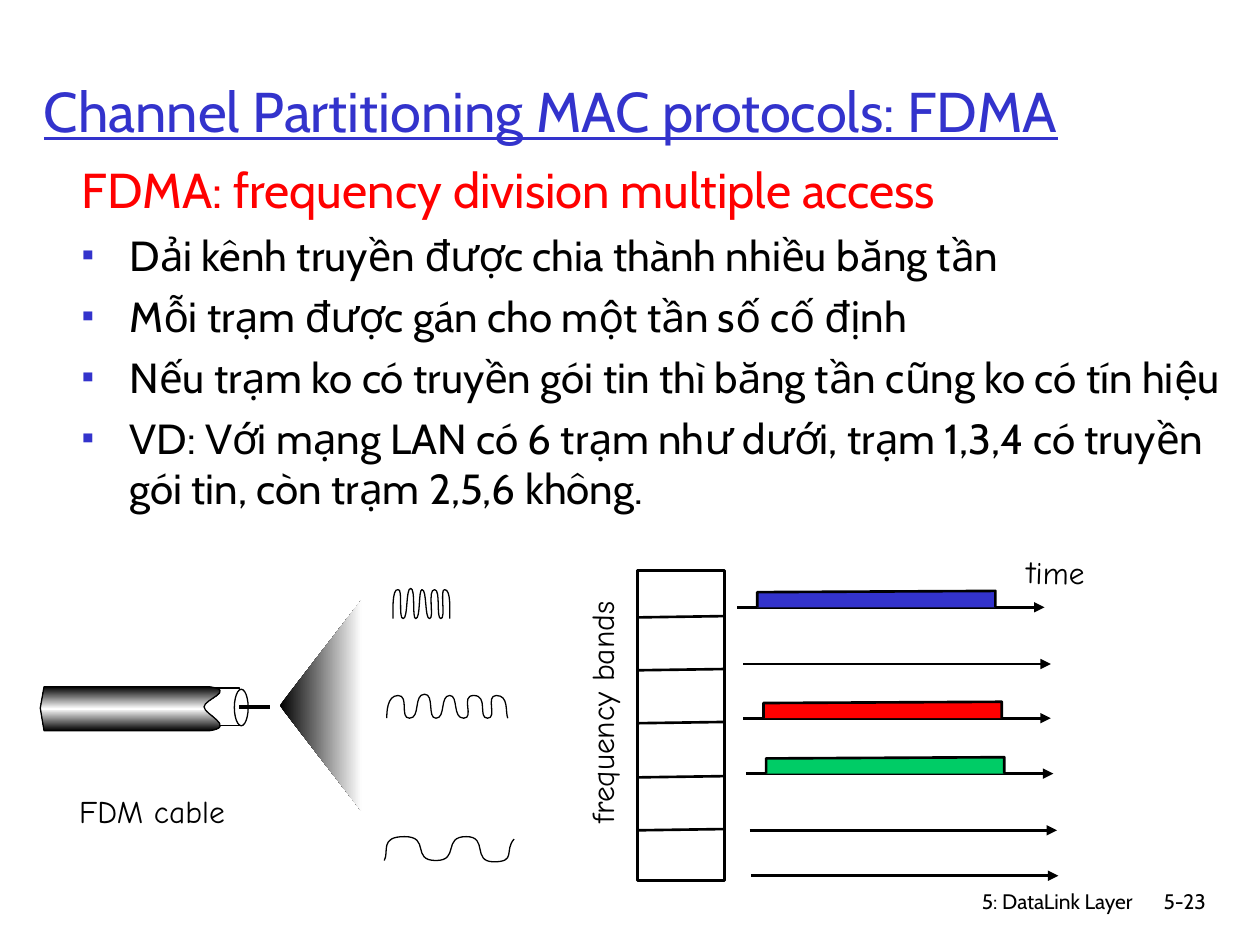
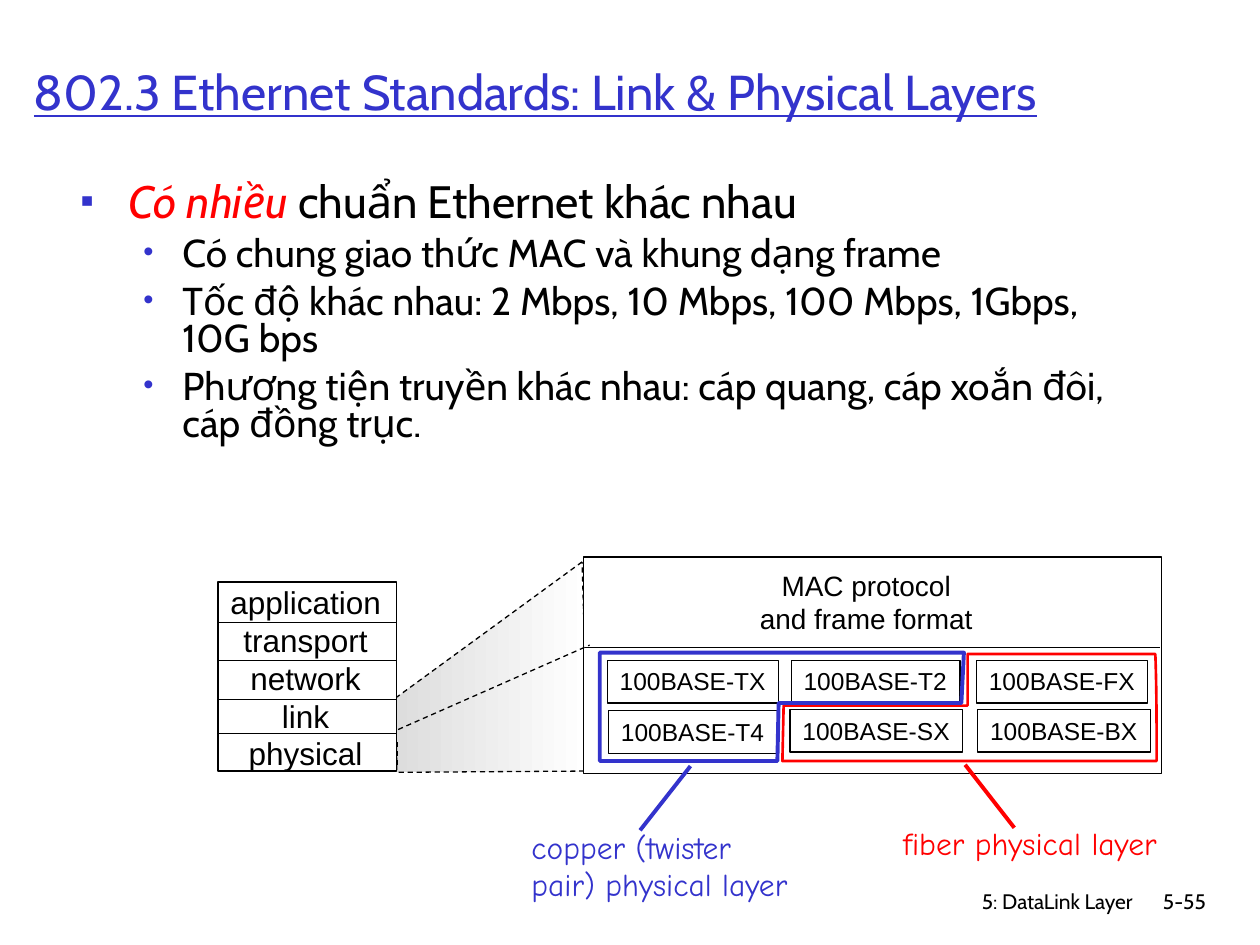
"""Build two link layer slides: FDMA and the Ethernet standards."""
from dataclasses import dataclass
from typing import Any

from lxml.etree import SubElement
from pptx import Presentation
from pptx.dml.color import RGBColor
from pptx.enum.dml import MSO_LINE
from pptx.enum.shapes import MSO_CONNECTOR, MSO_SHAPE
from pptx.enum.text import MSO_ANCHOR, MSO_AUTO_SIZE, PP_ALIGN
from pptx.oxml.ns import qn
from pptx.util import Emu, Pt

SCALE = 9144
BLACK, WHITE, BLUE, RED, GREEN = "000000", "FFFFFF", "3333CC", "FF0000", "00CC66"
MAIN, HAND, PLAIN = "Cabin", "Comic Neue", "Arial"
Box = tuple[int, int, int, int]


@dataclass
class Run:
    text: str
    size: float
    font: str = MAIN
    color: str = BLACK
    under: bool = False
    slant: bool = False


@dataclass
class Para:
    runs: list[Run]
    align: Any = PP_ALIGN.LEFT
    mark: str = ""
    ratio: int = 85
    left: int = 0
    hang: int = 0
    level: int = 0
    before: float = 0
    lead: float = 1.0


@dataclass
class Note:
    box: Box
    paras: list[Para]
    wrap: bool = False
    turn: float = 0
    anchor: Any = MSO_ANCHOR.TOP


@dataclass
class Wire:
    x1: int
    y1: int
    x2: int
    y2: int
    color: str = BLACK
    weight: float = 0.75
    dash: bool = False
    arrow: bool = False


@dataclass
class Form:
    steps: list[tuple[int, ...]]
    fill: str | list[str] = ""
    line: str = BLACK
    weight: float = 0.75
    close: bool = False
    dash: bool = False
    angle: int = 0


def px(num: float) -> Emu:
    return Emu(round(num * SCALE))


def paint(code: str) -> RGBColor:
    return RGBColor.from_string(code)


def apply(item: Any, vals: dict[str, Any]) -> None:
    for name, val in vals.items():
        setattr(item, name, val)


def blend(shape: Any, codes: list[str], angle: int) -> None:
    shape.fill.gradient()
    shape.fill.gradient_angle = angle
    stops = next(shape._element.spPr.iter(qn("a:gsLst")))
    for old in list(stops):
        stops.remove(old)
    for num, code in enumerate(codes):
        stop = SubElement(stops, qn("a:gs"), pos=str(100000 * num // (len(codes) - 1)))
        SubElement(stop, qn("a:srgbClr"), val=code)


def trim(line: Any, color: str, weight: float, dash: bool = False) -> None:
    line.color.rgb = paint(color)
    line.width = Pt(weight)
    if dash:
        line.dash_style = MSO_LINE.DASH


def style(shape: Any, form: Form) -> None:
    shape.shadow.inherit = False
    if isinstance(form.fill, list):
        blend(shape, form.fill, form.angle)
    elif form.fill:
        shape.fill.solid()
        shape.fill.fore_color.rgb = paint(form.fill)
    else:
        shape.fill.background()
    if form.line:
        trim(shape.line, form.line, form.weight, form.dash)
    else:
        shape.line.fill.background()


def bend(shape: Any, steps: list[tuple[int, ...]]) -> None:
    """Fold the three segments of each six-number step into one curve."""
    trail = next(shape._element.spPr.iter(qn("a:path")))
    parts = iter(trail.findall(qn("a:lnTo")))
    for step in steps[1:]:
        first = next(parts)
        if len(step) == 6:
            curve = first.makeelement(qn("a:cubicBezTo"))
            first.addprevious(curve)
            for part in (first, next(parts), next(parts)):
                curve.append(part[0])
                trail.remove(part)


def draw(slide: Any, form: Form) -> None:
    first, *rest = [(px(step[num]), px(step[num + 1]))
                    for step in form.steps for num in range(0, len(step), 2)]
    pen = slide.shapes.build_freeform(*first, scale=1.0)
    pen.add_line_segments(rest, close=form.close)
    shape = pen.convert_to_shape()
    bend(shape, form.steps)
    style(shape, form)


def block(slide: Any, box: Box, fill: str = WHITE, weight: float = 0.75,
          kind: Any = MSO_SHAPE.RECTANGLE) -> Any:
    shape = slide.shapes.add_shape(kind, *map(px, box))
    style(shape, Form([], fill, weight=weight))
    return shape


def join(slide: Any, wire: Wire) -> None:
    ends = map(px, (wire.x1, wire.y1, wire.x2, wire.y2))
    link = slide.shapes.add_connector(MSO_CONNECTOR.STRAIGHT, *ends)
    trim(link.line, wire.color, wire.weight, wire.dash)
    if wire.arrow:
        SubElement(link.line._get_or_add_ln(), qn("a:tailEnd"), type="triangle")
    SubElement(link._element.spPr, qn("a:effectLst"))


def point(para: Any, spec: Para) -> None:
    props = para._p.get_or_add_pPr()
    props.set("marL", str(px(spec.left)))
    props.set("indent", str(px(-spec.hang)))
    if spec.mark:
        tint = SubElement(props, qn("a:buClr"))
        SubElement(tint, qn("a:srgbClr"), val=BLUE)
        SubElement(props, qn("a:buSzPct"), val=str(spec.ratio * 1000))
        SubElement(props, qn("a:buFont"), typeface=PLAIN)
        SubElement(props, qn("a:buChar"), char=spec.mark)


def fill_in(shape: Any, note: Note) -> None:
    frame = shape.text_frame
    shape.rotation = note.turn
    size = MSO_AUTO_SIZE.NONE if note.wrap else MSO_AUTO_SIZE.SHAPE_TO_FIT_TEXT
    apply(frame, {"word_wrap": note.wrap, "vertical_anchor": note.anchor, "auto_size": size})
    for num, spec in enumerate(note.paras):
        para = frame.add_paragraph() if num else frame.paragraphs[0]
        point(para, spec)
        apply(para, {"alignment": spec.align, "level": spec.level, "line_spacing": spec.lead,
                     "space_before": Pt(spec.before if num else 0)})
        for run in spec.runs:
            bit = para.add_run()
            bit.text = run.text
            apply(bit.font, {"size": Pt(run.size), "name": run.font,
                             "underline": run.under, "italic": run.slant})
            bit.font.color.rgb = paint(run.color)


def write(slide: Any, note: Note) -> None:
    fill_in(slide.shapes.add_textbox(*map(px, note.box)), note)


def label(slide: Any, box: Box, text: str, size: int = 18, font: str = HAND,
          color: str = BLACK, align: Any = PP_ALIGN.LEFT, turn: float = 0) -> None:
    paras = [Para([Run(row, size, font, color)], align) for row in text.split("\n")]
    write(slide, Note(box, paras, turn=turn))


def start(deck: Any, title: str, size: int, box: Box, page: str) -> Any:
    """Add a blank slide with its footer and title."""
    slide = deck.slides.add_slide(deck.slide_layouts[6])
    for spot, text in (((592, 700, 317, 50), "5: DataLink Layer"), ((893, 700, 74, 50), page)):
        write(slide, Note(spot, [Para([Run(text, 12)], PP_ALIGN.RIGHT)], True))
    head = Para([Run(title, size, color=BLUE, under=True)])
    write(slide, Note(box, [head], True, anchor=MSO_ANCHOR.MIDDLE))
    return slide


def bands(slide: Any) -> None:
    block(slide, (506, 453, 69, 246), weight=1.5)
    for num in range(5):
        y = round(490 + 42.25 * num)
        join(slide, Wire(506, y, 574, y - 1, weight=1.5))
    for x, y, fill in ((585, 482, BLUE), (590, 527, ""), (590, 570, RED),
                       (592, 614, GREEN), (595, 659, ""), (596, 695, "")):
        join(slide, Wire(x, y, x + 244, y, weight=1.5, arrow=True))
        if fill:
            near, far = x + 16, x + 205
            draw(slide, Form([(near, y), (near, y - 12), (far, y - 13), (far, y)],
                             fill, weight=1.5))
    label(slide, (379, 545, 197, 40), "frequency bands", turn=270)
    label(slide, (805, 434, 66, 40), "time", turn=1.1)


def cable(slide: Any) -> None:
    draw(slide, Form([(287, 476), (222, 560), (287, 644)], [BLACK, WHITE], "", close=True))
    block(slide, (161, 546, 29, 30))
    draw(slide, Form([(35, 545), (32, 562), (35, 580), (166, 580), (188, 577, 162, 567, 162, 561),
                      (162, 555, 188, 548, 166, 545)], [BLACK, WHITE, BLACK],
                     close=True, angle=90))
    block(slide, (186, 547, 11, 29), kind=MSO_SHAPE.OVAL)
    join(slide, Wire(190, 561, 214, 561, weight=2.25))
    waves = (
        [(307, 570), (307, 566, 307, 552, 316, 552), (325, 552, 317, 570, 325, 570),
         (334, 570, 328, 551, 337, 551), (345, 551, 339, 570, 346, 570),
         (354, 570, 349, 552, 357, 552), (364, 552, 359, 570, 368, 570),
         (377, 570, 365, 552, 376, 552), (388, 552, 379, 570, 387, 570),
         (395, 570, 385, 552, 394, 552), (404, 552, 401, 565, 403, 570)],
        [(312, 491), (312, 486, 311, 467, 316, 468), (320, 467, 316, 491, 320, 491),
         (324, 491, 322, 467, 326, 467), (330, 467, 327, 491, 330, 491),
         (334, 491, 332, 468, 335, 468), (339, 468, 337, 491, 341, 491),
         (345, 491, 339, 468, 345, 468), (350, 468, 346, 491, 350, 491),
         (354, 491, 349, 467, 353, 468), (358, 468, 357, 484, 357, 491)],
        [(305, 683), (309, 676, 301, 664, 321, 664), (342, 664, 326, 683, 346, 683),
         (365, 683, 351, 664, 370, 664), (388, 664, 374, 684, 392, 684),
         (410, 684, 400, 675, 408, 666)])
    for wave in waves:
        draw(slide, Form(wave))
    label(slide, (53, 624, 136, 40), "FDM cable")


def stack(slide: Any) -> None:
    draw(slide, Form([(462, 446), (314, 554), (315, 613), (467, 612)], ["DDDDDD", WHITE],
                     close=True, dash=True))
    block(slide, (173, 462, 142, 150))
    label(slide, (172, 458, 141, 160), "application\ntransport\nnetwork\nlink\nphysical",
          font=PLAIN, align=PP_ALIGN.CENTER)
    for y in (494, 524, 555, 582):
        join(slide, Wire(173, y, 315, y))
    for x, y in ((173, 591), (315, 589)):
        join(slide, Wire(x, y, x, y + 19, dash=True))


def layers(slide: Any) -> None:
    block(slide, (463, 442, 459, 172))
    join(slide, Wire(464, 514, 921, 514))
    label(slide, (593, 446, 189, 64), "MAC protocol\nand frame format", 16, PLAIN,
          align=PP_ALIGN.CENTER)
    join(slide, Wire(316, 579, 468, 512, dash=True))
    for x, y, wide, kind in ((482, 524, 136, "TX"), (483, 564, 134, "T4"), (775, 524, 136, "FX"),
                             (628, 524, 134, "T2"), (627, 563, 137, "SX"), (776, 563, 137, "BX")):
        box = (x, y, wide, 34)
        fill_in(block(slide, box, ""), Note(box, [Para([Run("100BASE-" + kind, 14, PLAIN)])]))
    draw(slide, Form([(768, 519), (768, 560), (622, 560), (621, 604), (918, 604),
                      (918, 576, 918, 546, 917, 519)], line=RED, weight=1.5, close=True))
    join(slide, Wire(766, 607, 805, 657, RED, 2.25))
    label(slide, (707, 649, 221, 40), "fiber physical layer", color=RED)
    draw(slide, Form([(765, 518), (763, 558), (618, 558), (617, 604), (476, 604), (476, 518)],
                     line=BLUE, weight=2.25, close=True))
    join(slide, Wire(548, 608, 508, 659, BLUE, 2.25))
    label(slide, (412, 652, 223, 70), "copper (twister\npair) physical layer", color=BLUE)


def main() -> None:
    deck = Presentation()
    apply(deck, {"slide_width": px(1000), "slide_height": px(750)})

    slide = start(deck, "Channel Partitioning MAC protocols: FDMA", 32, (25, 25, 944, 125), "5-23")
    facts = ("Dải kênh truyền được chia thành nhiều băng tần",
             "Mỗi trạm được gán cho một tần số cố định",
             "Nếu trạm ko có truyền gói tin thì băng tần cũng ko có tín hiệu",
             "VD: Với mạng LAN có 6 trạm như dưới, trạm 1,3,4 có truyền gói tin, "
             "còn trạm 2,5,6 không.")
    lead = Para([Run("FDMA: frequency division multiple access", 28, color=RED)],
                left=38, hang=38)
    rows = [Para([Run(fact, 24)], mark="▪", left=38, hang=38, before=6) for fact in facts]
    write(slide, Note((55, 122, 930, 508), [lead, *rows], True))
    bands(slide)
    cable(slide)

    slide = start(deck, "802.3 Ethernet Standards: Link & Physical Layers", 28,
                  (17, 10, 953, 125), "5-55")
    facts = ("Có chung giao thức MAC và khung dạng frame",
             "Tốc độ khác nhau: 2 Mbps, 10 Mbps, 100 Mbps, 1Gbps, 10G bps",
             "Phương tiện truyền khác nhau: cáp quang, cáp xoắn đôi, cáp đồng trục.")
    lead = Para([Run("Có nhiều ", 25.9, color=RED, slant=True),
                 Run("chuẩn Ethernet khác nhau", 25.9)],
                mark="▪", left=38, hang=38, lead=0.8)
    rows = [Para([Run(fact, 22.2)], mark="•", ratio=75, left=81, hang=31, level=1,
                 before=6, lead=0.8) for fact in facts]
    write(slide, Note((54, 141, 850, 230), [lead, *rows], True))
    stack(slide)
    layers(slide)
    deck.save("out.pptx")


if __name__ == "__main__":
    main()
